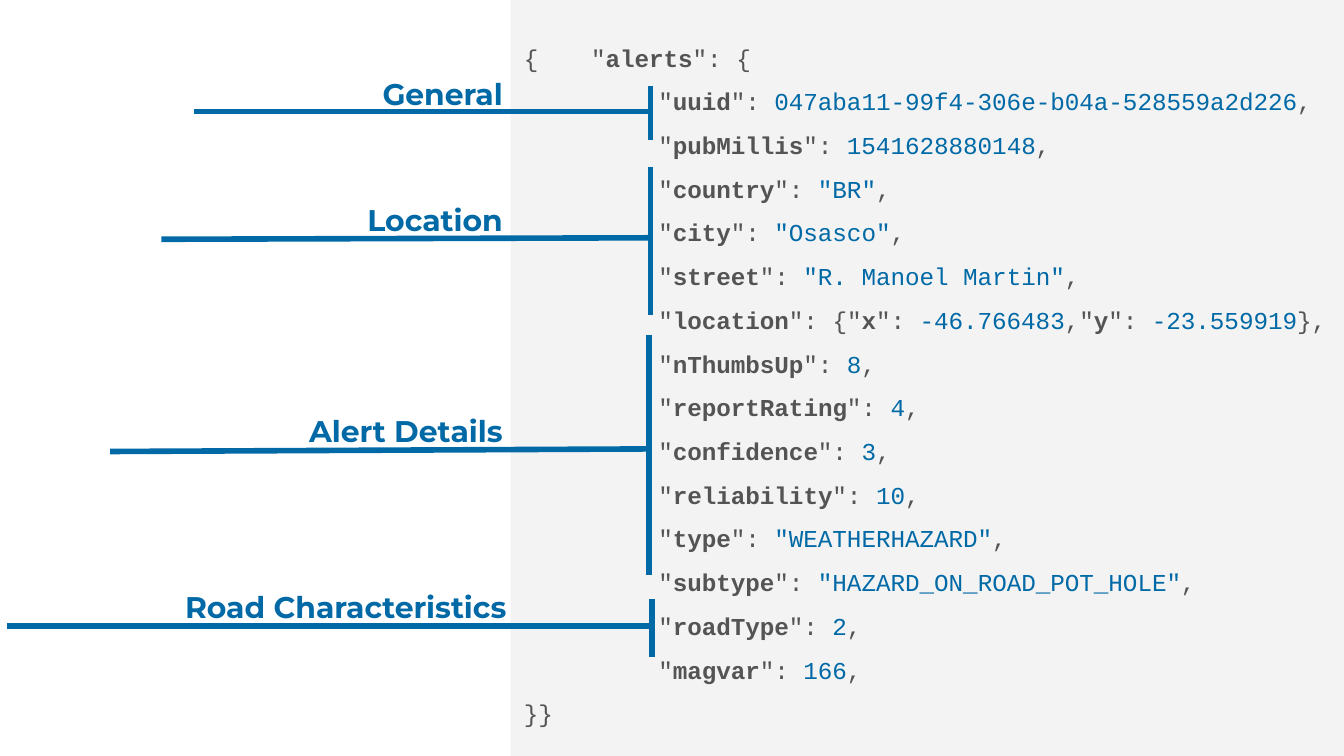
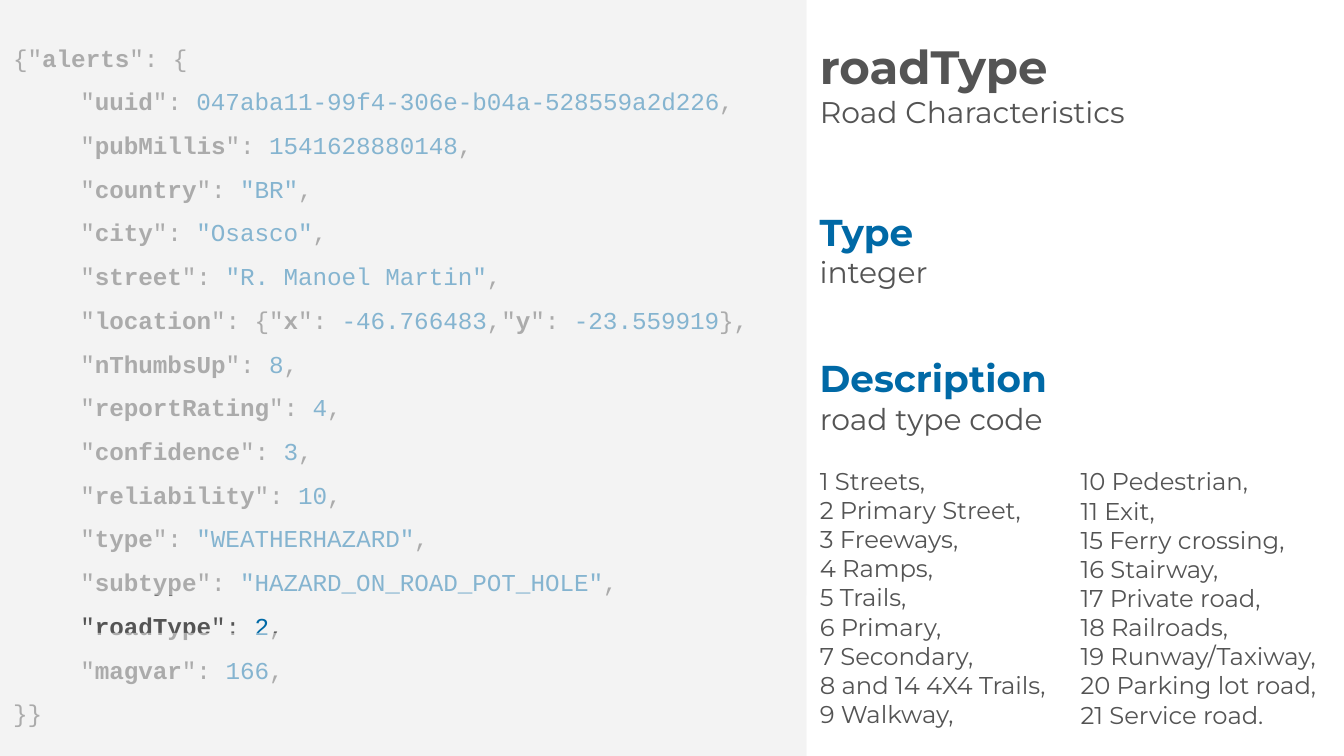
from dataclasses import dataclass
from pptx import Presentation
from pptx import util as u
from pptx.dml.color import RGBColor
from pptx.enum import shapes, text
from pptx.oxml import ns
from lxml import etree

BLUE = RGBColor(0x00, 0x69, 0xA6)
GREY = RGBColor(0x54, 0x54, 0x54)
PANEL = RGBColor(0xF3, 0xF3, 0xF3)
SANS, MONO = "Montserrat", "Courier New"
WIDTH, HEIGHT, INSET = 720, 405, 7.2
LEFT, RIGHT = text.PP_ALIGN.LEFT, text.PP_ALIGN.RIGHT
TOP, MIDDLE = text.MSO_ANCHOR.TOP, text.MSO_ANCHOR.MIDDLE
BLANK, TWO_CONTENT = 6, 3

FIELDS = [
    ("uuid", "047aba11-99f4-306e-b04a-528559a2d226"),
    ("pubMillis", "1541628880148"),
    ("country", '"BR"'),
    ("city", '"Osasco"'),
    ("street", '"R. Manoel Martin"'),
    ("location", [("x", "-46.766483"), ("y", "-23.559919")]),
    ("nThumbsUp", "8"),
    ("reportRating", "4"),
    ("confidence", "3"),
    ("reliability", "10"),
    ("type", '"WEATHERHAZARD"'),
    ("subtype", '"HAZARD_ON_ROAD_POT_HOLE"'),
    ("roadType", "2"),
    ("magvar", "166"),
]

CALLOUTS = [
    ("Road Characteristics", 308.2, 278.6, (349.2, 321.1, 352.1), (349.2, 335.5, 3.6, 335.5)),
    ("Alert Details", 213.8, 276.5, (347.8, 179.3, 308.2), (349.2, 240.5, 59, 241.9)),
    ("Location", 100.8, 276.5, (348.5, 89.3, 168.5), (349.2, 127.4, 86.4, 128.2)),
    ("General", 33.1, 276.5, (348.5, 46.1, 74.9), (349.9, 59.8, 103.7, 59.8)),
]

ROAD_TYPES = [
    "1 Streets,", "2 Primary Street,", "3 Freeways,", "4 Ramps,", "5 Trails,",
    "6 Primary,", "7 Secondary,", "8 and 14 4X4 Trails,", "9 Walkway,",
    "10 Pedestrian,", "11 Exit,", "15 Ferry crossing,", "16 Stairway,",
    "17 Private road,", "18 Railroads,", "19 Runway/Taxiway,",
    "20 Parking lot road,", "21 Service road.",
]


@dataclass
class Span:
    text: str
    size: float = 13
    colour: RGBColor = GREY
    bold: bool = False
    font: str = SANS


def code(content, colour=GREY, bold=False):
    return Span(content, 13, colour, bold, MONO)


def field_spans(key, value):
    spans = [code('"'), code(key, bold=True), code('": ')]
    if isinstance(value, str):
        return spans + [code(value, BLUE)]
    spans.append(code("{"))
    for index, (name, number) in enumerate(value):
        spans += [code(",")] if index else []
        spans += field_spans(name, number)
    return spans + [code("}")]


class Deck:
    def __init__(self):
        self.presentation = Presentation()
        self.presentation.slide_width = u.Pt(WIDTH)
        self.presentation.slide_height = u.Pt(HEIGHT)
        self.slide = None

    def add_slide(self, layout):
        self.slide = self.presentation.slides.add_slide(self.presentation.slide_layouts[layout])

    def set_text(self, shape, paragraphs, anchor=TOP, align=LEFT, spacing=1.0, indents=None, gaps=None):
        frame = shape.text_frame
        frame.word_wrap = True
        frame.auto_size = text.MSO_AUTO_SIZE.NONE
        frame.vertical_anchor = anchor
        frame.margin_left = frame.margin_right = u.Pt(INSET)
        frame.margin_top = frame.margin_bottom = u.Pt(INSET)
        for index, spans in enumerate(paragraphs):
            paragraph = frame.add_paragraph() if index else frame.paragraphs[0]
            paragraph.alignment = align
            paragraph.line_spacing = spacing
            paragraph.space_before = u.Pt((gaps or {}).get(index, 0))
            properties = paragraph._p.get_or_add_pPr()
            properties.set("marL", str(u.Pt(indents[index] if indents else 0)))
            properties.set("indent", "0")
            etree.SubElement(properties, ns.qn("a:buNone"))
            for span in spans:
                run = paragraph.add_run()
                run.text = span.text
                run.font.name = span.font
                run.font.size = u.Pt(span.size)
                run.font.bold = span.bold
                run.font.color.rgb = span.colour

    def text_box(self, left, top, width, height, paragraphs, parent=None, **style):
        parent = parent or self.slide
        box = parent.shapes.add_textbox(u.Pt(left), u.Pt(top), u.Pt(width), u.Pt(height))
        self.set_text(box, paragraphs, **style)

    def placeholder(self, index, left, top, width, height, paragraphs, **style):
        shape = self.slide.placeholders[index]
        shape.left, shape.top = u.Pt(left), u.Pt(top)
        shape.width, shape.height = u.Pt(width), u.Pt(height)
        self.set_text(shape, paragraphs, **style)

    def panel(self, left, top, width, height, opacity=None):
        shape = self.slide.shapes.add_shape(
            shapes.MSO_SHAPE.RECTANGLE, u.Pt(left), u.Pt(top), u.Pt(width), u.Pt(height))
        shape.shadow.inherit = False
        shape.fill.solid()
        shape.fill.fore_color.rgb = PANEL
        shape.line.fill.background()
        if opacity:
            colour = shape.element.spPr.find(".//" + ns.qn("a:srgbClr"))
            etree.SubElement(colour, ns.qn("a:alpha")).set("val", str(opacity * 1000))
        return shape

    def code_panel(self, left, width, opening, indent):
        opening_line = [code(opening), code("alerts", bold=True), code('": {')]
        lines = [field_spans(key, value) + [code(",")] for key, value in FIELDS]
        self.set_text(self.panel(left, 0, width, HEIGHT),
                      [opening_line, *lines, [code("}}")]],
                      anchor=MIDDLE, spacing=1.5, indents=[0, *[indent] * len(lines), 0])

    def line(self, parent, x1, y1, x2, y2):
        connector = parent.shapes.add_connector(
            shapes.MSO_CONNECTOR.STRAIGHT, u.Pt(x1), u.Pt(y1), u.Pt(x2), u.Pt(y2))
        connector.line.color.rgb = BLUE
        connector.line.width = u.Pt(3)
        etree.SubElement(connector.element.spPr, ns.qn("a:effectLst"))

    def callout(self, label, top, right, bracket, leader):
        group = self.slide.shapes.add_group_shape()
        x, start, end = bracket
        self.line(group, x, start, x, end)
        self.text_box(0, top, right, 44.6, [[Span(label, 16, BLUE, True)]], group, align=RIGHT)
        self.line(group, *leader)


def build_overview(deck):
    deck.add_slide(BLANK)
    deck.code_panel(273.6, 446.4, '{\t"', 72)
    for callout in CALLOUTS:
        deck.callout(*callout)


def build_road_type(deck):
    deck.add_slide(TWO_CONTENT)
    split = 432
    deck.code_panel(0, split, '{"', 36)
    deck.panel(0, 339.1, split, HEIGHT - 339.1, opacity=55)
    deck.panel(0, 0, split, 319, opacity=55)
    deck.placeholder(0, split, 11.5, 288, 66.2,
                     [[Span("roadType", 25, bold=True)], [Span("Road Characteristics", 16)]],
                     anchor=MIDDLE)
    for heading, top in (("Type", 105.1), ("Description", 182.9)):
        deck.text_box(split, top, 139, 36, [[Span(heading, 20, BLUE, True)]])
    deck.text_box(split, 128.9, 259.2, 62.6, [[Span("integer", 16)]])
    items = [[Span(item)] for item in ROAD_TYPES]
    half = len(items) // 2
    list_top, list_height, list_offset = 207.4, 189.4, 35.35
    deck.placeholder(1, split, list_top, 145.4, list_height,
                     [[Span("road type code", 16)], *items[:half]], gaps={1: 15.85})
    deck.placeholder(2, 571.7, list_top + list_offset, 145.4, list_height - list_offset, items[half:])


def main():
    deck = Deck()
    build_overview(deck)
    build_road_type(deck)
    deck.presentation.save("out.pptx")


if __name__ == "__main__":
    main()
